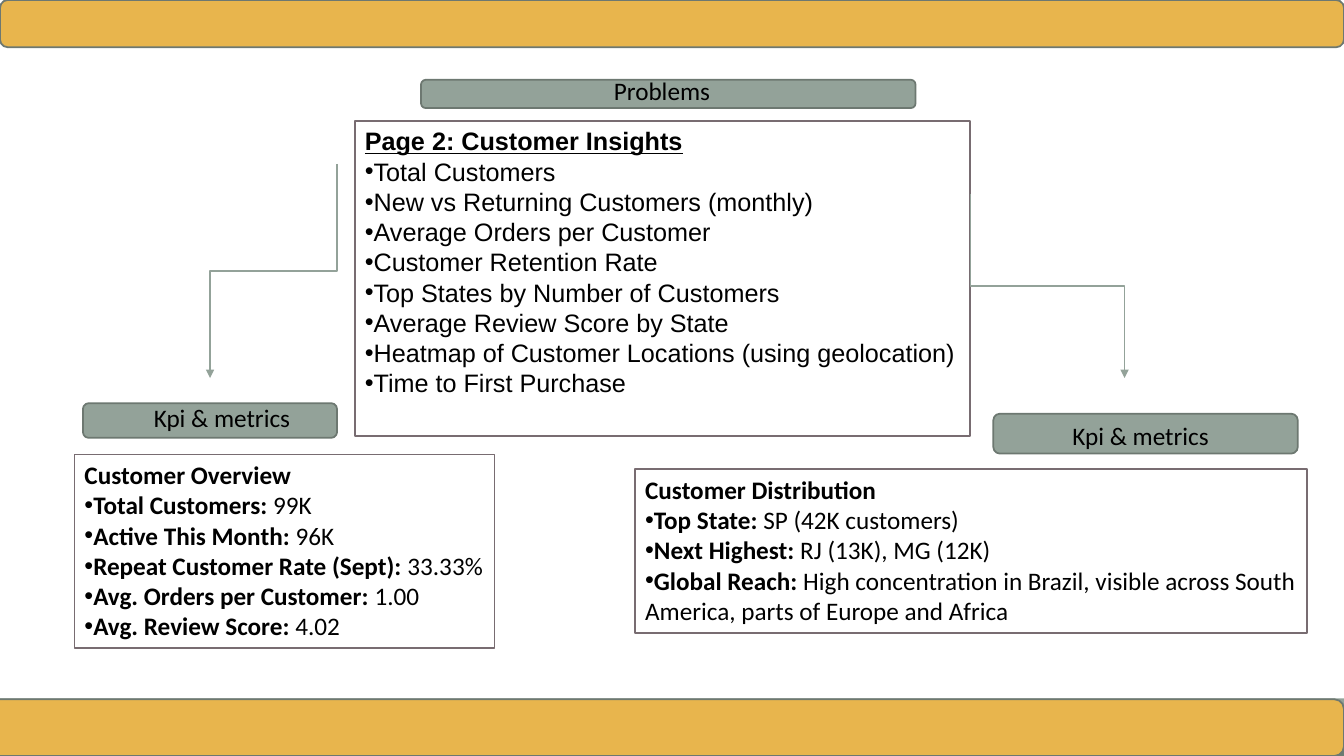
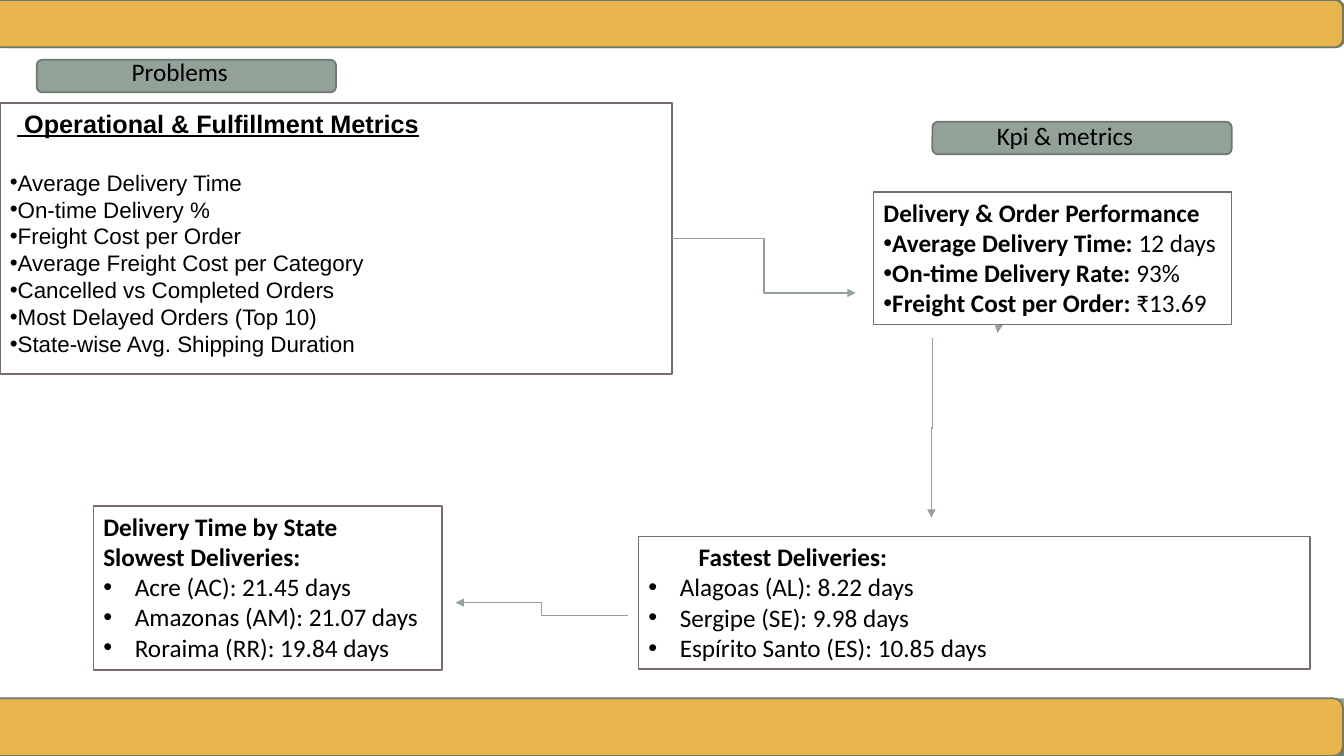
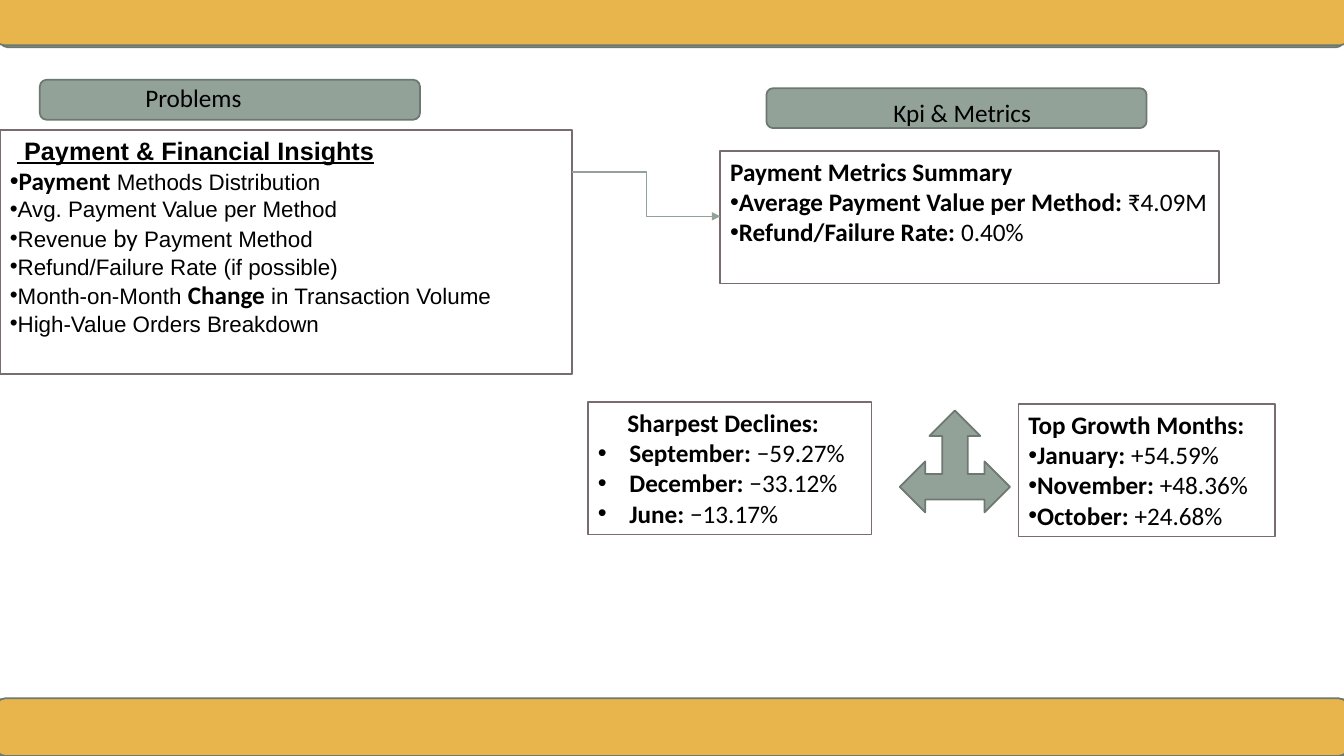
from dataclasses import dataclass

from lxml import etree
from pptx import Presentation
from pptx.dml.color import RGBColor
from pptx.enum.shapes import MSO_CONNECTOR as Connector, MSO_SHAPE as Shape
from pptx.enum.text import MSO_ANCHOR as Anchor, PP_ALIGN as Align
from pptx.oxml.ns import qn
from pptx.util import Emu, Pt

COLORS = {
    "gold": "E8B54D",
    "sage": "93A299",
    "sage_line": "6D7871",
    "footer": "6B7D72",
    "box_line": "786C71",
    "white": "FFFFFF",
    "black": "000000",
}

# name: (font, size, bold, underline)
STYLES = {
    "title": ("Arial", 18, True, True),
    "item": ("Arial", 18, False, False),
    "small": ("Arial", 16, False, False),
    "strong": ("Calibri", 18, True, False),
    "body": ("Calibri", 18, False, False),
}

WIDTH, HEIGHT = 1280, 720
HANG = 30


def px(number):
    return Emu(round(number * 9525))


def color(name):
    return RGBColor.from_string(COLORS[name])


# Paragraph content

@dataclass
class Line:
    runs: list
    bullet: bool = False
    margin: int = 0
    indent: int = 0
    before: int = 0


def heading(text, style="strong", indent=0):
    return Line([(text, style)], indent=indent)


def bullets(texts, style, hang=0):
    return [Line([(text, style)], True, hang, -hang) for text in texts]


def facts(pairs, hang=0):
    return [Line([(label, "strong"), (f" {value}", "body")], True, hang, -hang)
            for label, value in pairs]


def apply_style(font, style):
    font.name, size, font.bold, font.underline = STYLES[style]
    font.size = Pt(size)
    font.color.rgb = color("black")


def write_line(paragraph, line):
    properties = paragraph._p.get_or_add_pPr()
    properties.set("marL", str(px(line.margin)))
    properties.set("indent", str(px(line.indent)))
    if line.bullet:
        etree.SubElement(properties, qn("a:buFont")).set("typeface", "Arial")
        etree.SubElement(properties, qn("a:buChar")).set("char", "•")
    if line.before:
        paragraph.space_before = Pt(line.before)
    uniform = len({style for _, style in line.runs}) == 1
    if uniform:
        apply_style(paragraph.font, line.runs[0][1])
    for text, style in line.runs:
        run = paragraph.add_run()
        run.text = text
        if not uniform:
            apply_style(run.font, style)


def write_lines(shape, lines, align=Align.LEFT):
    frame = shape.text_frame
    frame.word_wrap = True
    frame.vertical_anchor = Anchor.TOP
    for index, line in enumerate(lines):
        paragraph = frame.add_paragraph() if index else frame.paragraphs[0]
        paragraph.alignment = align
        write_line(paragraph, line)


# Slide elements

def add_block(slide, kind, place, fill, line=None):
    shape = slide.shapes.add_shape(kind, *map(px, place))
    shape.shadow.inherit = False
    shape.fill.solid()
    shape.fill.fore_color.rgb = color(fill)
    if line:
        shape.line.color.rgb = color(line)
        shape.line.width = Pt(1.25)
    else:
        shape.line.fill.background()
    return shape


def add_box(slide, place, lines):
    box = add_block(slide, Shape.RECTANGLE, place, "white", "box_line")
    write_lines(box, lines)


def add_label(slide, pill, text, left, top, width, align=Align.LEFT):
    add_block(slide, Shape.ROUNDED_RECTANGLE, pill, "sage", "sage_line")
    text_box = slide.shapes.add_textbox(*map(px, (left, top, width, 38)))
    write_lines(text_box, [heading(text, "body")], align)


def add_elbow(slide, begin, end, vertical=False):
    """Elbow arrow; a vertical one leaves and arrives going down."""
    (x1, y1), (x2, y2) = begin, end
    rotation = 0
    if vertical:
        # Lay the elbow on its side around its centre, then turn it
        side = 1 if x2 < x1 else -1
        middle_x, middle_y = (x1 + x2) / 2, (y1 + y2) / 2
        half_run, half_rise = side * (y2 - y1) / 2, abs(x2 - x1) / 2
        x1, x2 = middle_x - half_run, middle_x + half_run
        y1, y2 = middle_y - half_rise, middle_y + half_rise
        rotation = 90 if side > 0 else 270
    connector = slide.shapes.add_connector(Connector.ELBOW, *map(px, (x1, y1, x2, y2)))
    connector.line.color.rgb = color("sage")
    connector.line.width = Pt(1)
    properties = connector._element.spPr
    if rotation:
        properties.find(qn("a:xfrm")).set("rot", str(rotation * 60000))
    line = properties.find(qn("a:ln"))
    etree.SubElement(line, qn("a:tailEnd")).set("type", "triangle")
    etree.SubElement(properties, qn("a:effectLst"))


def new_slide(presentation, top_band, bottom_band, underlay=True):
    slide = presentation.slides.add_slide(presentation.slide_layouts[6])
    add_block(slide, Shape.RECTANGLE, (0, 672, WIDTH, 48), "footer")
    add_block(slide, Shape.RECTANGLE, (0, 665, WIDTH, 7), "sage")
    if underlay:
        add_block(slide, Shape.ROUNDED_RECTANGLE, (0, 0, WIDTH, 45), "sage", "sage_line")
    for band in (top_band, bottom_band):
        add_block(slide, Shape.ROUNDED_RECTANGLE, band, "gold", "sage_line")
    return slide


# Slides

def add_customer_slide(presentation):
    slide = new_slide(presentation, (0, 0, WIDTH, 45), (-56, 666, 1336, 54), underlay=False)
    add_box(slide, (338, 115, 586, 300), [
        heading("Page 2: Customer Insights", "title"),
        *bullets([
            "Total Customers",
            "New vs Returning Customers (monthly)",
            "Average Orders per Customer",
            "Customer Retention Rate",
            "Top States by Number of Customers",
            "Average Review Score by State",
            "Heatmap of Customer Locations (using geolocation)",
            "Time to First Purchase",
        ], "item"),
    ])
    add_box(slide, (71, 433, 400, 184), [
        heading("Customer Overview"),
        *facts([
            ("Total Customers:", "99K"),
            ("Active This Month:", "96K"),
            ("Repeat Customer Rate (Sept):", "33.33%"),
            ("Avg. Orders per Customer:", "1.00"),
            ("Avg. Review Score:", "4.02"),
        ]),
    ])
    add_box(slide, (605, 447, 640, 156), [
        heading("Customer Distribution"),
        *facts([
            ("Top State:", "SP (42K customers)"),
            ("Next Highest:", "RJ (13K), MG (12K)"),
            ("Global Reach:", "High concentration in Brazil, visible across South "
                              "America, parts of Europe and Africa"),
        ]),
    ])
    add_label(slide, (401, 76, 471, 27), "Problems", 401, 67, 459, Align.CENTER)
    add_label(slide, (79, 384, 242, 33), "Kpi & metrics", 94, 378, 235, Align.CENTER)
    add_label(slide, (946, 394, 290, 38), "Kpi & metrics", 1012, 396, 235)
    add_elbow(slide, (321, 156), (200, 360), vertical=True)
    add_elbow(slide, (924, 185), (1071, 360), vertical=True)


def add_operations_slide(presentation):
    slide = new_slide(presentation, (-9, 0, 1288, 45), (-9, 665, 1288, 55))
    metrics = bullets([
        "Average Delivery Time",
        "On-time Delivery %",
        "Freight Cost per Order",
        "Average Freight Cost per Category",
        "Cancelled vs Completed Orders",
        "Most Delayed Orders (Top 10)",
        "State-wise Avg. Shipping Duration",
    ], "small")
    metrics[0].before = 22
    add_box(slide, (0, 98, 640, 258), [
        heading(" Operational & Fulfillment Metrics", "title", indent=7),
        *metrics,
    ])
    add_box(slide, (832, 183, 341, 126), [
        heading("Delivery & Order Performance"),
        *facts([
            ("Average Delivery Time:", "12 days"),
            ("On-time Delivery Rate:", "93%"),
            ("Freight Cost per Order:", "₹13.69"),
        ]),
    ])
    add_box(slide, (89, 482, 332, 156), [
        heading("Delivery Time by State"),
        heading("Slowest Deliveries:"),
        *bullets([
            "Acre (AC): 21.45 days",
            "Amazonas (AM): 21.07 days",
            "Roraima (RR): 19.84 days",
        ], "body", HANG),
    ])
    add_box(slide, (608, 511, 640, 126), [
        heading("Fastest Deliveries:", indent=48),
        *bullets([
            "Alagoas (AL): 8.22 days",
            "Sergipe (SE): 9.98 days",
            "Espírito Santo (ES): 10.85 days",
        ], "body", HANG),
    ])
    add_label(slide, (35, 57, 285, 31), "Problems", 116, 49, 188)
    add_label(slide, (888, 116, 285, 31), "Kpi & metrics", 940, 110, 216)
    add_elbow(slide, (640, 227), (815, 279))
    add_elbow(slide, (951, 310), (950, 317), vertical=True)
    add_elbow(slide, (888, 322), (887, 493), vertical=True)
    add_elbow(slide, (598, 586), (434, 574))


def add_payment_slide(presentation):
    slide = new_slide(presentation, (-4, -2, 1288, 45), (-4, 665, 1288, 55))
    add_box(slide, (0, 124, 545, 232), [
        heading(" Payment & Financial Insights", "title", indent=7),
        Line([("Payment", "strong"), (" Methods Distribution", "small")], True),
        *bullets(["Avg. Payment Value per Method"], "small"),
        Line([("Revenue ", "small"), ("by", "body"), (" Payment Method", "small")], True),
        *bullets(["Refund/Failure Rate (if possible)"], "small"),
        Line([("Month-on-Month ", "small"), ("Change", "strong"),
              (" in Transaction Volume", "small")], True),
        *bullets(["High-Value Orders Breakdown"], "small"),
    ])
    add_box(slide, (686, 144, 475, 126), [
        heading("Payment Metrics Summary"),
        *facts([
            ("Average Payment Value per Method:", "₹4.09M"),
            ("Refund/Failure Rate:", "0.40%"),
        ]),
    ])
    add_box(slide, (560, 383, 270, 126), [
        heading("Sharpest Declines:", indent=28),
        *facts([
            ("September:", "−59.27%"),
            ("December:", "−33.12%"),
            ("June:", "−13.17%"),
        ], HANG),
    ])
    add_box(slide, (970, 385, 244, 126), [
        heading("Top Growth Months:"),
        *facts([
            ("January:", "+54.59%"),
            ("November:", "+48.36%"),
            ("October:", "+24.68%"),
        ]),
    ])
    add_label(slide, (38, 76, 362, 38), "Problems", 129, 74, 258)
    add_label(slide, (730, 84, 362, 38), "Kpi & Metrics", 738, 88, 357, Align.CENTER)
    add_elbow(slide, (545, 164), (686, 206))
    add_block(slide, Shape.LEFT_RIGHT_UP_ARROW, (857, 391, 105, 97), "sage", "sage_line")


def main():
    presentation = Presentation()
    presentation.slide_width, presentation.slide_height = px(WIDTH), px(HEIGHT)
    add_customer_slide(presentation)
    add_operations_slide(presentation)
    add_payment_slide(presentation)
    presentation.save("out.pptx")


if __name__ == "__main__":
    main()
